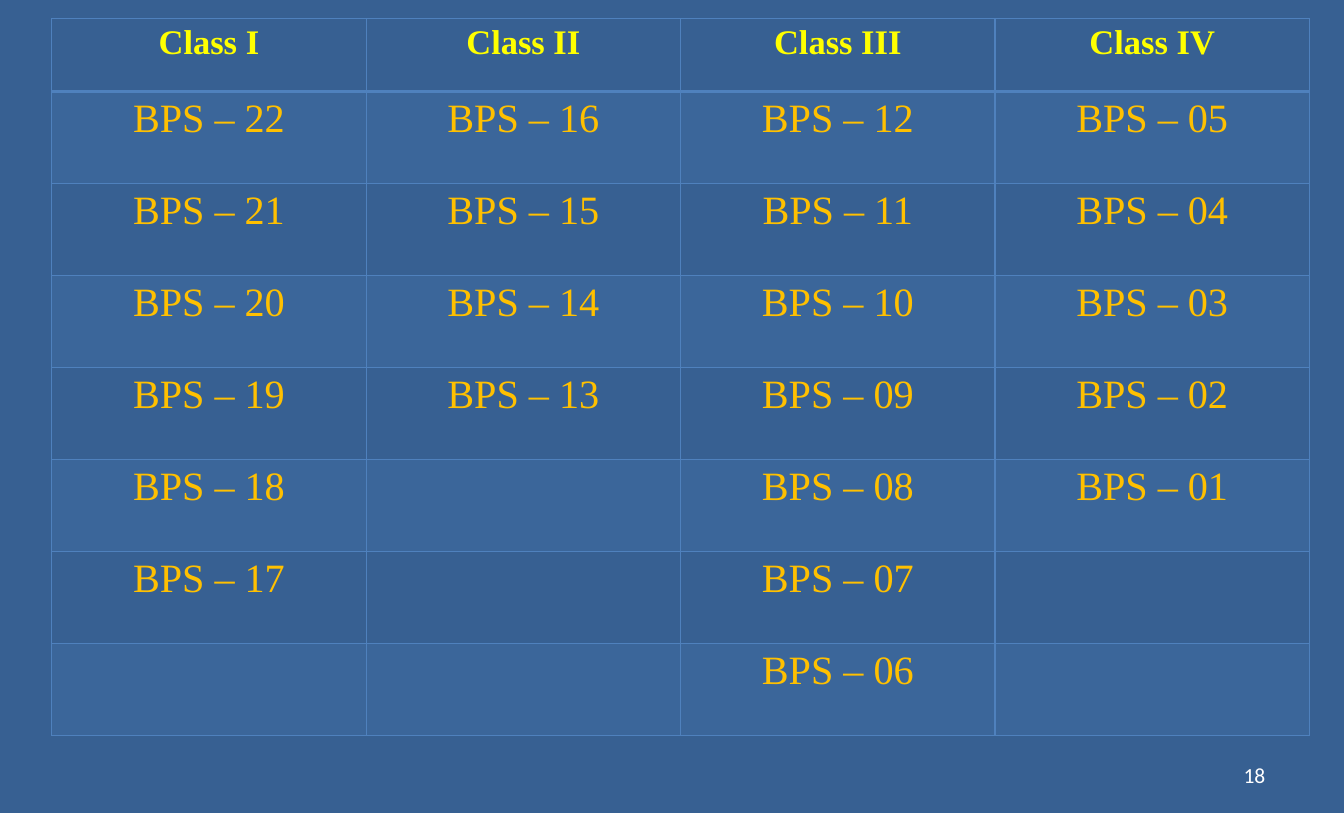
from itertools import product
from lxml.etree import SubElement as Sub
from pptx import Presentation
from pptx.dml.color import RGBColor as Rgb
from pptx.enum.text import MSO_ANCHOR as Anchor, PP_ALIGN as Align
from pptx.oxml.ns import qn
from pptx.util import Pt

CLASSES = [("Class I", 22, 17), ("Class II", 16, 13),
           ("Class III", 12, 6), ("Class IV", 5, 1)]
PAGE = "18"
THEME = {
    "back": "376092", "line": "4F81BD", "head": "FFFF00",
    "grade": "FFC000", "page": "FFFFFF",
    "serif": "Times New Roman", "sans": "Calibri",
    "head_size": 24, "grade_size": 28, "page_size": 15,
}
WIDE, HIGH = 936, 566.4
LEFT, TOP, COL = 36, 13, 219
HEAD, ROW = 50.7, 64.1


def write(frame, text, size, color, font="serif", bold=False, align=Align.CENTER):
    """Put one formatted line of text into a frame."""
    para = frame.paragraphs[0]
    para.alignment = align
    run = para.add_run()
    run.text = text
    run.font.name = THEME[font]
    run.font.size = Pt(THEME[size])
    run.font.bold = bold
    run.font.color.rgb = Rgb.from_string(THEME[color])


def edge(cell, side, width):
    """Draw one border of a cell."""
    line = Sub(cell._tc.get_or_add_tcPr(), qn(f"a:ln{side}"), w=str(Pt(width)))
    Sub(Sub(line, qn("a:solidFill")), qn("a:srgbClr"), val=THEME["line"])


def tint(cell):
    """Fill a cell with the line colour at one fifth strength."""
    cell.fill.solid()
    cell.fill.fore_color.rgb = Rgb.from_string(THEME["line"])
    color = cell._tc.tcPr.find(qn("a:solidFill")).find(qn("a:srgbClr"))
    Sub(color, qn("a:alpha"), val="20000")


def grid(slide):
    """Add the table of classes and their pay grades."""
    count = 1 + max(high - low + 1 for _, high, low in CLASSES)
    table = slide.shapes.add_table(
        count, len(CLASSES), Pt(LEFT), Pt(TOP), Pt(COL * len(CLASSES)),
        Pt(HEAD + ROW * (count - 1))).table
    table.first_row = table.horz_banding = False
    for col in table.columns:
        col.width = Pt(COL)
    for i, row in enumerate(table.rows):
        row.height = Pt(ROW if i else HEAD)
    for i, j in product(range(count), range(len(CLASSES))):
        cell = table.cell(i, j)
        name, high, low = CLASSES[j]
        grade = high - i + 1
        for side in "LRTB":
            edge(cell, side, 2 if (i, side) in ((0, "B"), (1, "T")) else 1)
        if i % 2:
            tint(cell)
        else:
            cell.fill.background()
        if i == 0:
            write(cell.text_frame, name, "head_size", "head", bold=True)
        elif grade >= low:
            write(cell.text_frame, f"BPS – {grade:02}", "grade_size", "grade")


def number(slide):
    """Add the page number."""
    frame = slide.shapes.add_textbox(Pt(671), Pt(525), Pt(218), Pt(30)).text_frame
    frame.word_wrap = True
    frame.vertical_anchor = Anchor.MIDDLE
    frame.margin_left = frame.margin_right = Pt(7.8)
    write(frame, PAGE, "page_size", "page", font="sans", align=Align.RIGHT)


def main():
    """Build and save the slide."""
    deck = Presentation()
    deck.slide_width, deck.slide_height = Pt(WIDE), Pt(HIGH)
    slide = deck.slides.add_slide(deck.slide_layouts[6])
    fill = slide.background.fill
    fill.solid()
    fill.fore_color.rgb = Rgb.from_string(THEME["back"])
    number(slide)
    grid(slide)
    deck.save("out.pptx")


if __name__ == "__main__":
    main()
